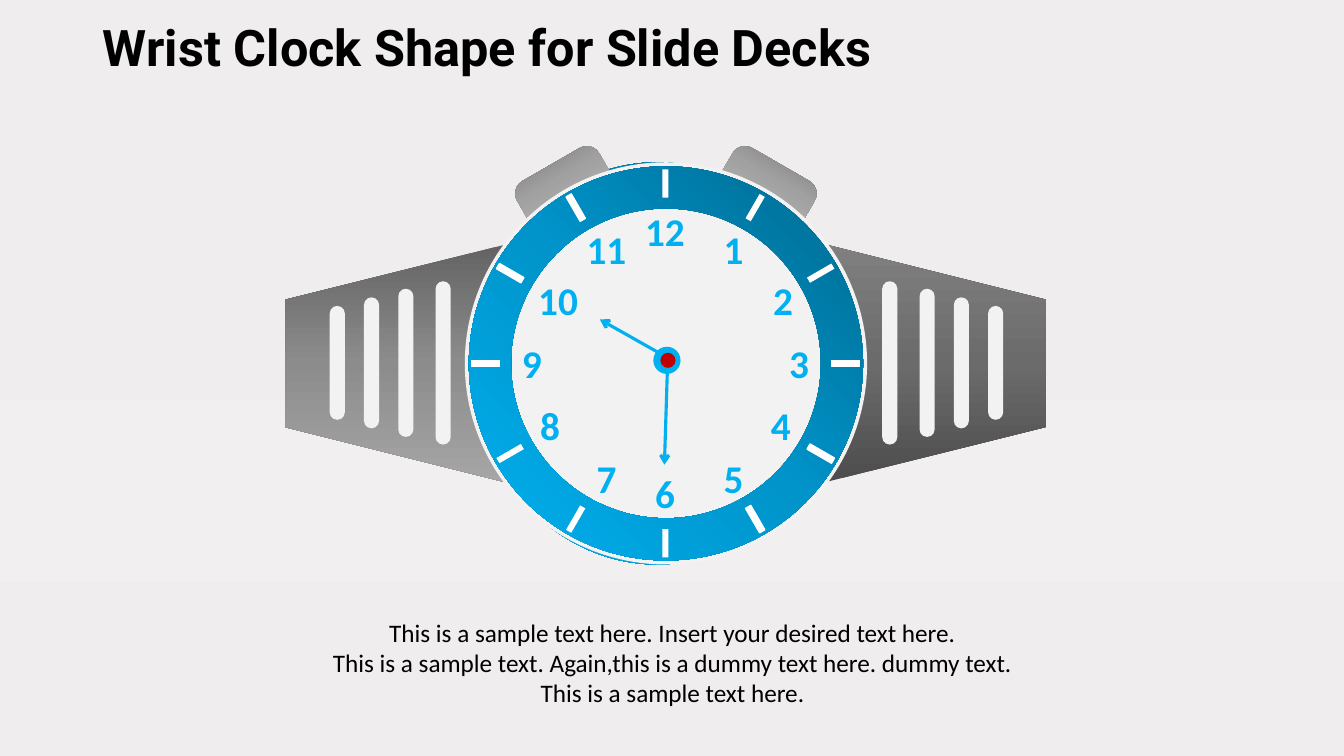
"""Build a slide with a wrist watch drawn from native shapes."""
import pptx
import pptx.dml.color
import pptx.enum.shapes
import pptx.enum.text
import pptx.oxml.ns
from lxml import etree
from pptx.util import Inches

rgb = pptx.dml.color.RGBColor.from_string
qn = pptx.oxml.ns.qn
SHAPE = pptx.enum.shapes.MSO_SHAPE
ALIGN = pptx.enum.text.PP_ALIGN
AUTO_SIZE = pptx.enum.text.MSO_AUTO_SIZE
ANCHOR = pptx.enum.text.MSO_ANCHOR

BLUE = "00B0F0"
PALE = "F2F2F2"
WHITE = "FFFFFF"
RING_BLUES = [(0, "00688E"), (50, "0094CA"), (100, BLUE)]
PUSHER_GREYS = [(0, "717171"), (50, "A1A1A1"), (100, "BFBFBF")]
LEFT_STRAP_GREYS = [(0, "626262"), (50, "8C8C8C"), (100, "A6A6A6")]
RIGHT_STRAP_GREYS = [(0, "4C4C4C"), (50, "6B6B6B"), (100, "808080")]


def paint_gradient(fill, element, stops, angle):
    fill.gradient()
    fill.gradient_angle = (360 - angle) % 360
    stop_list = next(element.iter(qn("a:gsLst")))
    for old_stop in list(stop_list):
        stop_list.remove(old_stop)
    for position, color in stops:
        stop = etree.SubElement(stop_list, qn("a:gs"), pos=str(position * 1000))
        etree.SubElement(stop, qn("a:srgbClr"), val=color)


def add_part(kind, box, color, angle=0, rotation=0, adjustments=()):
    part = watch.shapes.add_shape(kind, *map(Inches, box))
    part.rotation = rotation
    part.shadow.inherit = False
    part.line.fill.background()
    for index, value in enumerate(adjustments):
        part.adjustments[index] = value
    if isinstance(color, str):
        part.fill.solid()
        part.fill.fore_color.rgb = rgb(color)
    else:
        paint_gradient(part.fill, part._element, color, angle)
    return part


presentation = pptx.Presentation()
presentation.slide_width = Inches(13.33)
presentation.slide_height = Inches(7.5)
slide = presentation.slides.add_slide(presentation.slide_layouts[5])
backdrop = [(0, "EFEDEE"), (53, "F1EFF0"), (77, "EFEDEE"), (100, "EFEBEC")]
paint_gradient(slide.background.fill, slide._element, backdrop, 90)

title = slide.shapes.title
title.left, title.top = Inches(0.92), Inches(0.18)
title.width, title.height = Inches(11.5), Inches(0.81)
title.text_frame.text = "Wrist Clock Shape for Slide Decks"
title.text_frame.auto_size = AUTO_SIZE.NONE
title.text_frame.vertical_anchor = ANCHOR.TOP
heading = title.text_frame.paragraphs[0]
heading.alignment = ALIGN.LEFT
heading.line_spacing = 0.9
heading.runs[0].font.name = "Roboto"
heading.runs[0].font.size = pptx.util.Pt(36)
heading.runs[0].font.bold = True
heading.runs[0].font.color.rgb = rgb("000000")

caption = slide.shapes.add_textbox(Inches(2.67), Inches(6.07), Inches(8), Inches(1.01)).text_frame
caption.word_wrap = True
caption.auto_size = AUTO_SIZE.SHAPE_TO_FIT_TEXT
caption.text = "\n".join([
    "This is a sample text here. Insert your desired text here.",
    "This is a sample text. Again,this is a dummy text here. dummy text.",
    "This is a sample text here.",
])
for paragraph in caption.paragraphs:
    paragraph.alignment = ALIGN.CENTER
    paragraph.runs[0].font.name = "Calibri"
    paragraph.runs[0].font.size = pptx.util.Pt(18)
    paragraph.runs[0].font.color.rgb = rgb("000000")

watch = slide.shapes.add_group_shape()
add_part(SHAPE.TRAPEZOID, (7.99, 2.44, 2.43, 2.33), RIGHT_STRAP_GREYS, 180, 90)
add_part(SHAPE.TRAPEZOID, (2.78, 2.44, 2.43, 2.33), LEFT_STRAP_GREYS, 180, 270)
add_part(SHAPE.DONUT, (4.69, 1.61, 3.66, 3.99), RING_BLUES, 135, 0, [0.107])
for pusher_left, rotation in [(5.08, 330), (7.19, 30)]:
    add_part(SHAPE.ROUND_2_SAME_RECTANGLE, (pusher_left, 1.61, 0.94, 0.34),
             PUSHER_GREYS, 90, rotation, [0.421, 0])
add_part(SHAPE.OVAL, (4.61, 1.61, 3.99, 3.99), PALE)
add_part(SHAPE.DONUT, (4.65, 1.65, 3.91, 3.91), RING_BLUES, 135, 0, [0.107])

tick_offsets = [(0, -1.785), (0.89, -1.545), (1.54, -0.895), (1.785, 0), (1.54, 0.895), (0.89, 1.545)]
for hour, (across, down) in enumerate(tick_offsets):
    for side in (1, -1):
        tick_box = (6.57 + side * across, 3.465 + side * down, 0.06, 0.28)
        tick = add_part(SHAPE.RECTANGLE, tick_box, WHITE, rotation=30 * hour)
        if hour >= 3:
            tick.line.color.rgb = rgb(WHITE)
            tick.line.width = pptx.util.Pt(1)

for slot_left, slot_height in [(4.32, 1.62), (3.95, 1.47), (3.61, 1.3), (3.27, 1.13)]:
    for left in (slot_left, 13.07 - slot_left):
        add_part(SHAPE.ROUNDED_RECTANGLE, (left, 3.6 - slot_height / 2, 0.15, slot_height),
                 PALE, adjustments=[0.5])

numeral_corners = [
    (6.9, 2.19), (7.39, 2.69), (7.55, 3.32), (7.37, 3.93), (6.9, 4.46), (6.22, 4.61),
    (5.64, 4.46), (5.08, 3.93), (4.9, 3.32), (5.16, 2.69), (5.64, 2.19), (6.22, 2.01),
]
for hour, (left, top) in enumerate(numeral_corners, start=1):
    numeral = watch.shapes.add_textbox(Inches(left), Inches(top), Inches(0.75), Inches(0.57)).text_frame
    numeral.word_wrap = True
    numeral.auto_size = AUTO_SIZE.SHAPE_TO_FIT_TEXT
    numeral.text = str(hour)
    numeral.paragraphs[0].alignment = ALIGN.CENTER
    digits = numeral.paragraphs[0].runs[0].font
    digits.name = "Calibri"
    digits.size = pptx.util.Pt(28)
    digits.bold = True
    digits.color.rgb = rgb(BLUE)

add_part(SHAPE.OVAL, (6.48, 3.44, 0.27, 0.27), BLUE)
for hand_ends in [(6.57, 3.52, 5.95, 3.17), (6.62, 3.65, 6.59, 4.61)]:
    hand = watch.shapes.add_connector(pptx.enum.shapes.MSO_CONNECTOR.STRAIGHT, *map(Inches, hand_ends))
    hand.line.color.rgb = rgb(BLUE)
    hand.line.width = pptx.util.Pt(2.25)
    etree.SubElement(hand.line._get_or_add_ln(), qn("a:tailEnd"), type="arrow")
    etree.SubElement(hand._element.spPr, qn("a:effectLst"))
add_part(SHAPE.OVAL, (6.55, 3.5, 0.15, 0.15), "C00000")

presentation.save("out.pptx")
